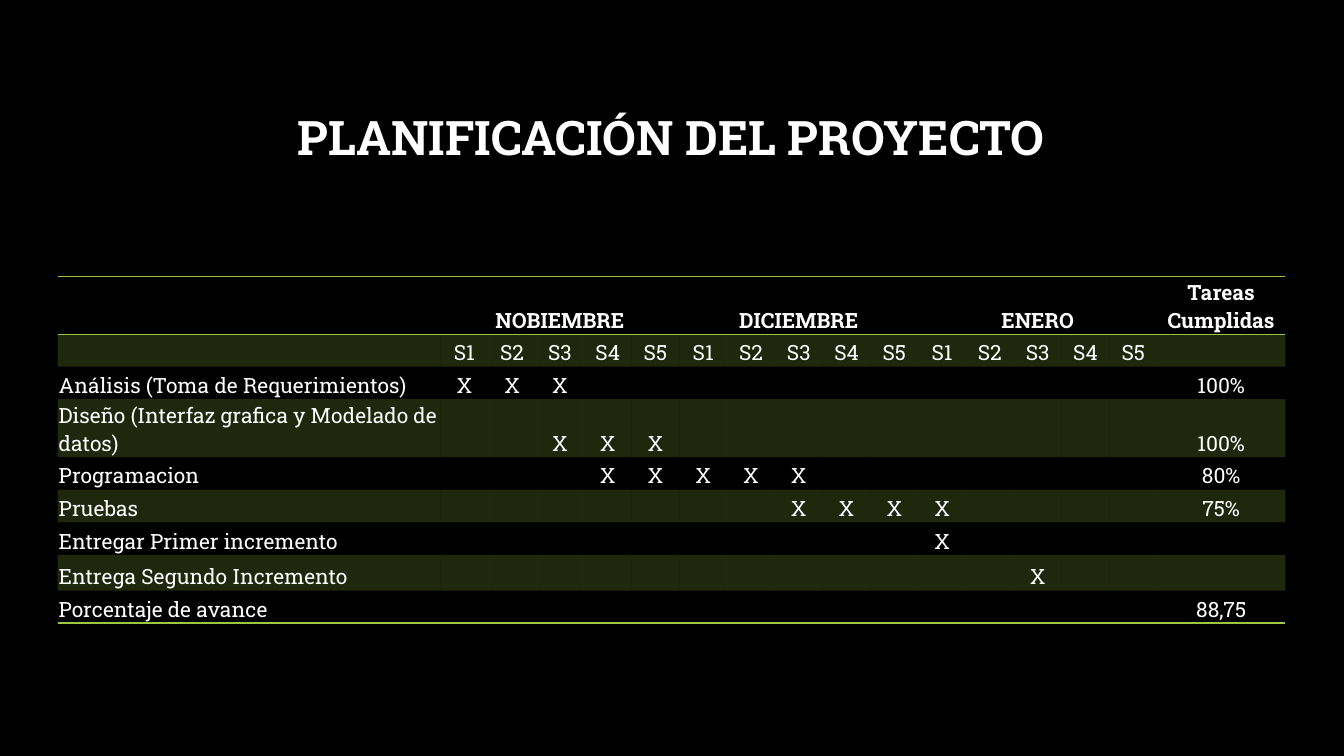
from lxml.etree import SubElement
from pptx import Presentation
from pptx.dml.color import RGBColor
from pptx.enum.shapes import MSO_SHAPE
from pptx.enum.text import MSO_ANCHOR, PP_ALIGN
from pptx.oxml.ns import qn
from pptx.util import Cm, Pt

FONT = "Roboto Slab"
GREEN = "9EC544"
WHITE = "FFFFFF"
BLACK = "000000"
PLAIN = "{2D5ABB26-0587-4C30-8999-92F81FD0307C}"
SIZE = 15
WEEKS = 5
MONTHS = ["NOBIEMBRE", "DICIEMBRE", "ENERO"]
SPAN = WEEKS * len(MONTHS)
TASKS = [
    ("Análisis (Toma de Requerimientos)", range(1, 4), "100%"),
    ("Diseño (Interfaz grafica y Modelado de datos)", range(3, 6), "100%"),
    ("Programacion", range(4, 9), "80%"),
    ("Pruebas", range(8, 12), "75%"),
    ("Entregar Primer incremento", [11], ""),
    ("Entrega Segundo Incremento", [13], ""),
    ("Porcentaje de avance", [], "88,75"),
]
HEIGHTS = [1.46, 0.82, 0.82, 1.46, 0.82, 0.82, 0.82, 0.9, 0.82]


def paint(color, code):
    color.rgb = RGBColor.from_string(code)


def tint(fill, code, alpha):
    fill.solid()
    paint(fill.fore_color, code)
    node = next(fill._xPr.iter(qn("a:srgbClr")))
    SubElement(node, qn("a:alpha"), val=str(alpha * 1000))


def style(para, size, bold, align):
    para.alignment = align
    for run in para.runs:
        run.font.name = FONT
        run.font.size = Pt(size)
        run.font.bold = bold
        paint(run.font.color, WHITE)


def rule(cell, side):
    props = cell._tc.get_or_add_tcPr()
    line = SubElement(props, qn("a:" + side), w=str(Pt(1)))
    fill = SubElement(line, qn("a:solidFill"))
    SubElement(fill, qn("a:srgbClr"), val=GREEN)


def head(slide, left, top, width, height):
    title = slide.shapes.title
    title.left, title.top = Cm(left), Cm(top)
    title.width, title.height = Cm(width), Cm(height)
    frame = title.text_frame
    frame.text = "PLANIFICACIÓN DEL PROYECTO"
    frame.vertical_anchor = MSO_ANCHOR.MIDDLE
    para = frame.paragraphs[0]
    para.line_spacing = 0.9
    style(para, 34, True, PP_ALIGN.CENTER)


def veil(slide, left, top, width, height):
    box = slide.shapes.add_shape(
        MSO_SHAPE.RECTANGLE, Cm(left), Cm(top), Cm(width), Cm(height))
    box.shadow.inherit = False
    box.line.fill.background()
    tint(box.fill, BLACK, 50)


def matrix():
    months = [name if week == 0 else ""
              for name in MONTHS for week in range(WEEKS)]
    weeks = [f"S{week + 1}" for name in MONTHS for week in range(WEEKS)]
    rows = [["", *months, "Tareas Cumplidas"], ["", *weeks, ""]]
    for name, marks, done in TASKS:
        cells = ["X" if col in marks else "" for col in range(1, SPAN + 1)]
        rows.append([name, *cells, done])
    return rows


def dress(cell, text, row, col, last):
    cell.margin_left = cell.margin_right = cell.margin_top = Cm(0.03)
    cell.margin_bottom = 0
    cell.vertical_anchor = MSO_ANCHOR.BOTTOM
    para = cell.text_frame.paragraphs[0]
    if text:
        para.text = text
        style(para, SIZE, row == 0,
              PP_ALIGN.CENTER if col else PP_ALIGN.LEFT)
    else:
        SubElement(para._p, qn("a:endParaRPr"), sz=str(SIZE * 100))
    if row == 0:
        rule(cell, "lnT")
    if row in (0, last):
        rule(cell, "lnB")
    if row % 2:
        tint(cell.fill, GREEN, 20)
    else:
        cell.fill.background()


def plan(slide, left, top, width, name=9.65, done=3.23):
    rows = matrix()
    frame = slide.shapes.add_table(
        len(rows), SPAN + 2, Cm(left), Cm(top), Cm(width), Cm(sum(HEIGHTS)))
    table = frame.table
    table.first_row = table.horz_banding = False
    next(table._tbl.iter(qn("a:tableStyleId"))).text = PLAIN
    week = (width - name - done) / SPAN
    for col, size in zip(table.columns, [name, *[week] * SPAN, done]):
        col.width = Cm(size)
    for line, size in zip(table.rows, HEIGHTS):
        line.height = Cm(size)
    for row, texts in enumerate(rows):
        for col, text in enumerate(texts):
            dress(table.cell(row, col), text, row, col, len(rows) - 1)
    for col in range(1, SPAN + 1, WEEKS):
        table.cell(0, col).merge(table.cell(0, col + WEEKS - 1))


def main():
    deck = Presentation()
    deck.slide_width, deck.slide_height = Cm(33.87), Cm(19.05)
    slide = deck.slides.add_slide(deck.slide_layouts[5])
    slide.background.fill.solid()
    paint(slide.background.fill.fore_color, BLACK)
    head(slide, 2.54, 1.7, 28.75, 3.68)
    veil(slide, 0, 5.82, 33.87, 13.23)
    plan(slide, 1.45, 6.96, 30.94)
    deck.save("out.pptx")


if __name__ == "__main__":
    main()
